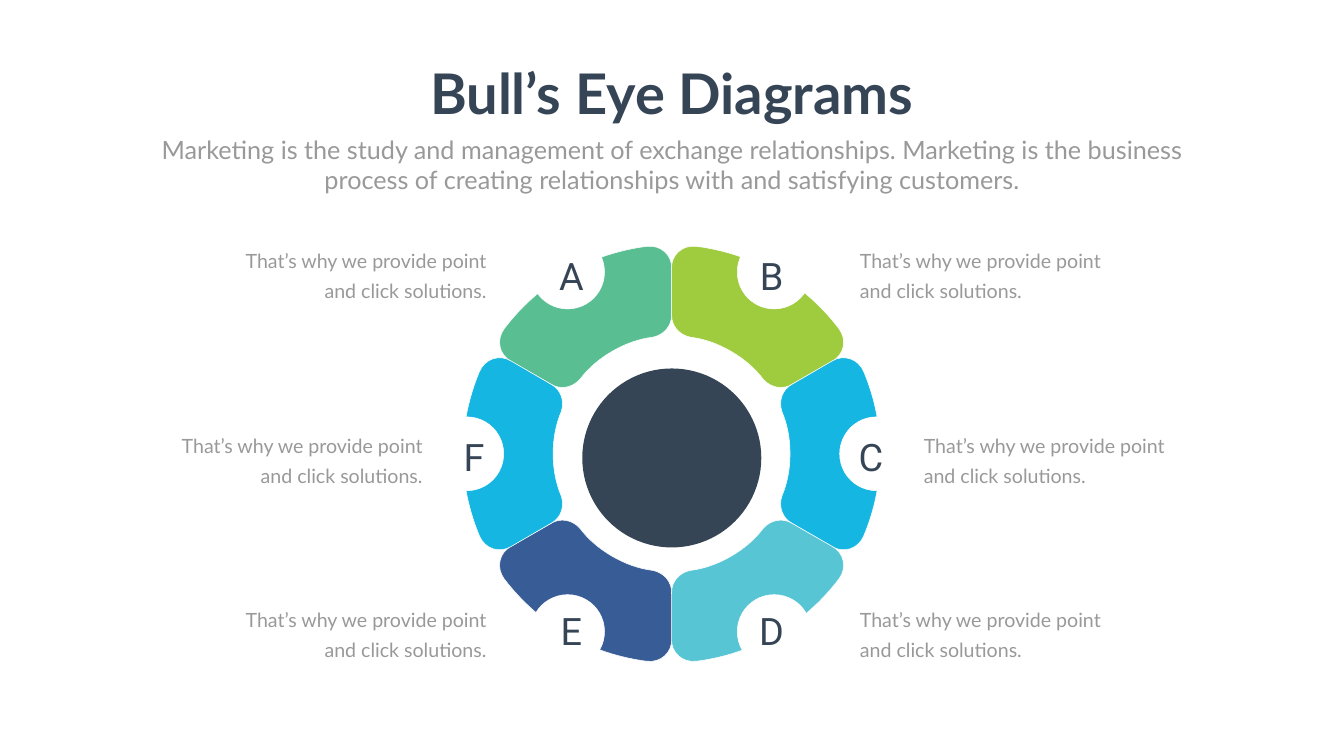
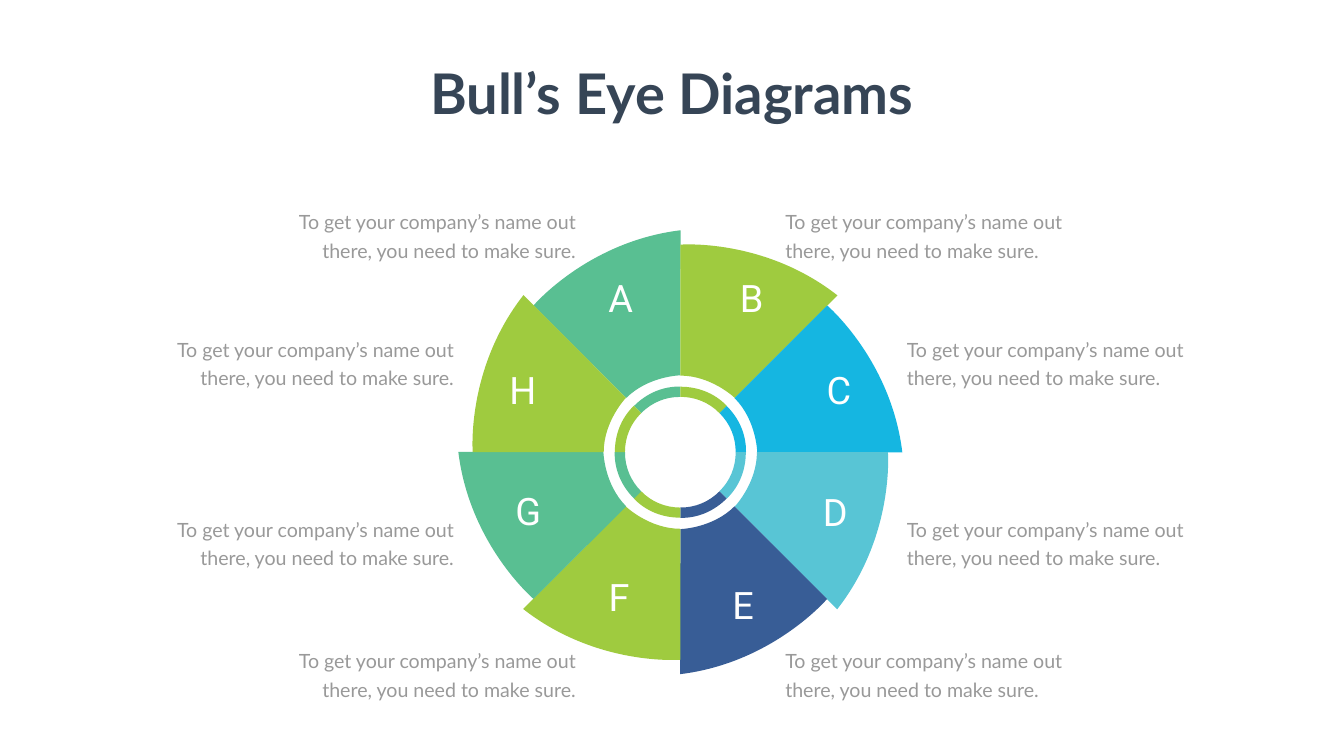
from math import cos, radians, sin

from pptx import Presentation
from pptx.dml.color import RGBColor
from pptx.enum.shapes import MSO_SHAPE
from pptx.enum.text import MSO_AUTO_SIZE, PP_ALIGN
from pptx.oxml.ns import qn
from pptx.util import Cm, Pt

OVAL = MSO_SHAPE.OVAL
LEFT, CENTER, RIGHT = PP_ALIGN.LEFT, PP_ALIGN.CENTER, PP_ALIGN.RIGHT
GROW = MSO_AUTO_SIZE.SHAPE_TO_FIT_TEXT

SLIDE_WIDTH, SLIDE_HEIGHT = 67.72, 38.1
NAVY, GRAY, WHITE = "364556", "999999", "FFFFFF"
GREEN, LIME, SKY, TEAL, BLUE = "59BF92", "9FCB3F", "15B6E1", "58C5D5", "385D96"

TITLE_FONT = {"name": "Lato", "size": Pt(80), "bold": True}
SUBTITLE_FONT = {"name": "Lato", "size": Pt(36)}
NOTE_FONT = {"name": "Lato", "size": Pt(28)}
LETTER_FONT = {"name": "Roboto", "size": Pt(54)}

TITLE = "Bull’s Eye Diagrams"
SUBTITLE = (
    "Marketing is the study and management of exchange relationships. "
    "Marketing is the business process of creating relationships with "
    "and satisfying customers."
)
RING_NOTE = "That’s why we provide point and click solutions."
PINWHEEL_NOTE = "To get your company’s name out there, you need to make sure."

RING_COLORS = [GREEN, LIME, SKY, TEAL, BLUE, SKY]
PINWHEEL_COLORS = [GREEN, LIME, SKY, TEAL, BLUE, LIME, GREEN, LIME]

RING_LABELS = [
    ("A", 27.48, 12.62, 11.96, 12.07),
    ("B", 37.57, 12.62, 43.08, 12.07),
    ("C", 42.57, 21.72, 46.3, 21.43),
    ("D", 37.57, 30.51, 43.08, 30.2),
    ("E", 27.48, 30.51, 11.96, 30.2),
    ("F", 22.58, 21.72, 8.74, 21.43),
]
PINWHEEL_LABELS = [
    ("A", 30, 13.72, 14.12, 10.21),
    ("B", 36.6, 13.72, 39.32, 10.21),
    ("C", 41, 18.34, 45.44, 16.64),
    ("D", 40.82, 24.49, 45.44, 25.7),
    ("E", 36.17, 29.21, 39.32, 32.33),
    ("F", 29.92, 28.78, 14.12, 32.33),
    ("G", 25.35, 24.43, 7.98, 25.7),
    ("H", 25.07, 18.34, 7.98, 16.64),
]
NOTCH_CENTERS = [
    (28.6, 13.71), (39.01, 13.71), (44.17, 22.87),
    (39.01, 31.83), (28.6, 31.83), (23.52, 22.87),
]

SEGMENT_HALF = [
    (5.97, 0),
    (5.97, 0.76), (5.84, 1.47), (5.56, 2.13),
    (5.38, 2.67), (5.59, 3.25), (6.07, 3.5),
    (8.08, 4.67), (8.08, 4.67), (8.08, 4.67),
    (8.66, 5.03), (9.4, 4.8), (9.68, 4.14),
    (10.21, 2.87), (10.52, 1.47), (10.52, 0),
]
SEGMENT = SEGMENT_HALF + [(x, -y) for x, y in SEGMENT_HALF[-2::-1]]
PETAL = [
    (0, -10.46),
    (0, -10.46), (4.22, -10.8), (7.92, -7.9),
    (2.74, -2.74), (2.74, -2.74), (2.74, -2.74),
    (2.74, -2.74), (1.57, -3.86), (0, -3.86),
]
INNER_ARC = [
    (0, -3.3),
    (0.86, -3.3), (1.7, -3), (2.34, -2.34),
    (1.97, -1.97), (1.97, -1.97), (1.97, -1.97),
    (1.45, -2.51), (0.74, -2.79), (0, -2.79),
]


def rgb(value):
    """Return the colour of a hex string."""
    return RGBColor.from_string(value)


def apply(target, values):
    """Set every attribute named in a dict of format values."""
    for name, value in values.items():
        setattr(target, name, value)


def add_text(slide, text, box, font, color, align=CENTER, spacing=None, wrap=True):
    """Add a one-paragraph text box."""
    shape = slide.shapes.add_textbox(*map(Cm, box))
    frame = shape.text_frame
    apply(frame, {"word_wrap": wrap, "auto_size": GROW})
    paragraph = frame.paragraphs[0]
    paragraph.text = text
    apply(paragraph, {"alignment": align, "line_spacing": spacing})
    apply(paragraph.font, font)
    paragraph.font.color.rgb = rgb(color)


def paint(shape, color, outlined=False):
    """Give a shape a flat fill and an optional thin white outline."""
    shape.shadow.inherit = False
    shape.fill.solid()
    shape.fill.fore_color.rgb = rgb(color)
    if outlined:
        shape.line.color.rgb = rgb(WHITE)
        shape.line.width = Pt(0.75)
    else:
        shape.line.fill.background()


def add_circle(slide, center, diameter, color, outlined=False):
    """Add a circle around a centre point."""
    left, top = (Cm(value - diameter / 2) for value in center)
    shape = slide.shapes.add_shape(OVAL, left, top, Cm(diameter), Cm(diameter))
    paint(shape, color, outlined)


def place(point, center, angle):
    """Rotate a point by an angle in degrees and move it to a centre."""
    (x, y), turn = point, radians(angle)
    return (
        Cm(center[0] + x * cos(turn) - y * sin(turn)),
        Cm(center[1] + x * sin(turn) + y * cos(turn)),
    )


def add_curved_shape(slide, points):
    """Add a closed outline of cubic curves, three points to each curve."""
    builder = slide.shapes.build_freeform(*points[0])
    builder.add_line_segments(points[1:], close=True)
    shape = builder.convert_to_shape()
    lines = list(shape.element.iter(qn("a:lnTo")))
    for curve, *others in zip(lines[::3], lines[1::3], lines[2::3]):
        for other in others:
            curve.append(other[0])
            other.getparent().remove(other)
        curve.tag = qn("a:cubicBezTo")
    return shape


def add_wheel(slide, outline, center, colors, first_angle, outlined=False):
    """Repeat one outline around a centre, once per colour."""
    for index, color in enumerate(colors):
        angle = first_angle + index * 360 / len(colors)
        points = [place(point, center, angle) for point in outline]
        paint(add_curved_shape(slide, points), color, outlined)


def add_letters(slide, labels, size, color):
    """Add the letter of each label."""
    for letter, left, top, *_ in labels:
        add_text(slide, letter, (left, top, *size), LETTER_FONT, color)


def add_notes(slide, labels, note, size, spacing):
    """Add the note of each label, aligned towards the diagram."""
    for *_, left, top in labels:
        align = RIGHT if left < SLIDE_WIDTH / 2 else LEFT
        add_text(slide, note, (left, top, *size), NOTE_FONT, GRAY, align, Pt(spacing))


def add_title(slide):
    """Add the shared title."""
    add_text(slide, TITLE, (21.18, 2.84, 25.35, 3.68), TITLE_FONT, NAVY, wrap=False)


def build_ring(slide):
    """Draw the notched six-part ring."""
    add_wheel(slide, SEGMENT, (33.84, 22.87), RING_COLORS, -120, outlined=True)
    for center in NOTCH_CENTERS:
        add_circle(slide, center, 3.72, WHITE, outlined=True)
    add_letters(slide, RING_LABELS, (2.62, 2.57), NAVY)
    add_circle(slide, (33.85, 23.08), 9.02, NAVY)
    add_notes(slide, RING_LABELS, RING_NOTE, (12.8, 3.15), 43)
    add_title(slide)
    add_text(slide, SUBTITLE, (7.42, 6.63, 52.88, 3.33), SUBTITLE_FONT, GRAY)


def build_pinwheel(slide):
    """Draw the eight-petal pinwheel with its inner ring."""
    for outline in (PETAL, INNER_ARC):
        add_wheel(slide, outline, (34.28, 22.79), PINWHEEL_COLORS, -45)
    add_letters(slide, PINWHEEL_LABELS, (2.54, 2.49), WHITE)
    add_notes(slide, PINWHEEL_LABELS, PINWHEEL_NOTE, (15.14, 3.02), 40.8)
    add_title(slide)


def main():
    """Build and save the presentation."""
    presentation = Presentation()
    apply(presentation, {"slide_width": Cm(SLIDE_WIDTH), "slide_height": Cm(SLIDE_HEIGHT)})
    for build in (build_ring, build_pinwheel):
        build(presentation.slides.add_slide(presentation.slide_layouts[6]))
    presentation.save("out.pptx")


if __name__ == "__main__":
    main()
